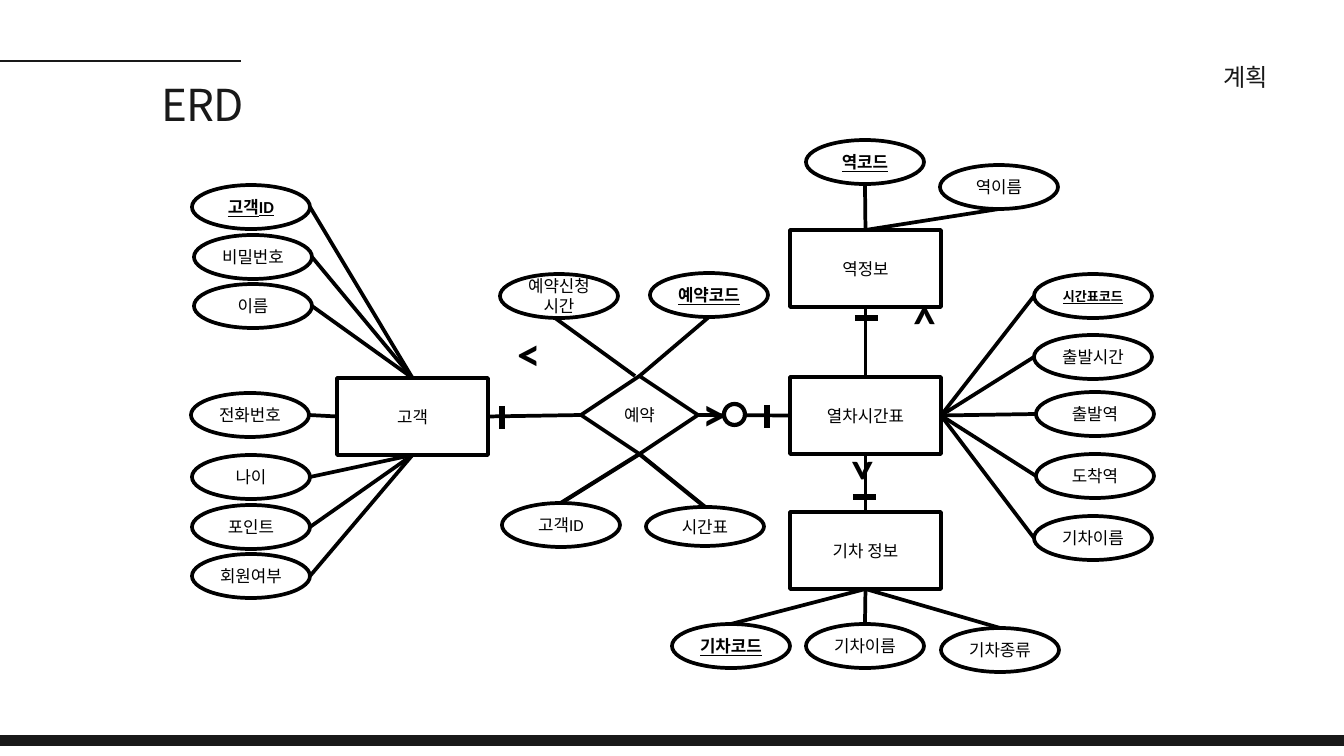
"""Builds the ERD slide of a train booking plan."""
from dataclasses import dataclass

from lxml import etree
from pptx import Presentation
from pptx.dml.color import RGBColor
from pptx.enum.shapes import MSO_CONNECTOR, MSO_SHAPE
from pptx.enum.text import MSO_ANCHOR, MSO_AUTO_SIZE, PP_ALIGN
from pptx.oxml.ns import qn
from pptx.util import Emu, Pt

RECTANGLE = MSO_SHAPE.RECTANGLE
OVAL = MSO_SHAPE.OVAL
DIAMOND = MSO_SHAPE.FLOWCHART_DECISION
STRAIGHT = MSO_CONNECTOR.STRAIGHT
LEFT_ALIGN, CENTER, RIGHT_ALIGN = PP_ALIGN.LEFT, PP_ALIGN.CENTER, PP_ALIGN.RIGHT
MIDDLE = MSO_ANCHOR.MIDDLE
GROW = MSO_AUTO_SIZE.SHAPE_TO_FIT_TEXT
TOP, LEFT, BOTTOM, RIGHT = range(4)
SCALE = 914400 / 67.2
PAGE_WIDTH, PAGE_HEIGHT = 1344, 756
ENTITY_SIZE = (151, 77)
ATTRIBUTE_SIZE = (118, 44)
MARK_SIZE = (37, 58)


@dataclass(frozen=True)
class Theme:
    """Colours, fonts and point sizes of the slide."""
    dark: RGBColor = RGBColor(0x19, 0x19, 0x19)
    ink: RGBColor = RGBColor(0, 0, 0)
    paper: RGBColor = RGBColor(255, 255, 255)
    heading_font: str = "Noto Sans CJK KR"
    body_font: str = "Calibri"
    title: float = 47.1
    section: float = 26
    label: float = 18
    small: float = 14
    mark: float = 50
    rule: float = 3
    line: float = 4
    heavy: float = 4.5
    tick: float = 6


def px(value):
    """Turns pixels into EMU."""
    return Emu(round(value * SCALE))


class ErdPage:
    """Draws diagram elements on one slide in one style."""

    def __init__(self, page, theme):
        """Keeps the slide and its theme."""
        self.page = page
        self.theme = theme

    def add_span(self, box, text, size, align, font, color, bold=False, underline=False):
        """Adds one run to a shape and returns its paragraph and run."""
        para = box.text_frame.paragraphs[0]
        para.alignment = align
        span = para.add_run()
        span.text = text
        span.font.name = font
        span.font.size = Pt(size)
        span.font.color.rgb = color
        if bold:
            span.font.bold = True
        if underline:
            span.font.underline = True
        properties = span._r.get_or_add_rPr()
        east_asian = etree.SubElement(properties, qn("a:ea"))
        east_asian.set("typeface", self.theme.heading_font)
        return para, span

    def shape(self, kind, left, top, width, height, weight, fill=None, color=None):
        """Adds an outlined shape."""
        box = self.page.shapes.add_shape(kind, px(left), px(top), px(width), px(height))
        box.shadow.inherit = False
        if fill is None:
            box.fill.background()
        else:
            box.fill.solid()
            box.fill.fore_color.rgb = fill
        box.line.color.rgb = color or self.theme.ink
        box.line.width = Pt(weight)
        return box

    def node(self, kind, text, left, top, size, key=False, points=None):
        """Adds a labelled entity, relation or attribute."""
        theme = self.theme
        box = self.shape(kind, left, top, *size, theme.line)
        box.text_frame.word_wrap = True
        box.text_frame.vertical_anchor = MIDDLE
        self.add_span(box, text, points or theme.label, CENTER, theme.body_font, theme.ink, key, key)
        return box

    def line(self, start, end, weight, color=None):
        """Adds a straight line between two points in EMU."""
        link = self.page.shapes.add_connector(STRAIGHT, *start, *end)
        link.line.color.rgb = color or self.theme.ink
        link.line.width = Pt(weight)
        etree.SubElement(link._element.spPr, qn("a:effectLst"))
        return link

    def side(self, box, index):
        """Gives the middle of one side of a shape."""
        middle_x, middle_y = box.left + box.width // 2, box.top + box.height // 2
        return (
            (middle_x, box.top),
            (box.left, middle_y),
            (middle_x, box.top + box.height),
            (box.left + box.width, middle_y),
        )[index]

    def attach(self, attribute, attribute_side, owner, owner_side, weight):
        """Ties an attribute to a side of its owner."""
        link = self.line(self.side(attribute, attribute_side), self.side(owner, owner_side), weight)
        link.end_connect(owner, owner_side)

    def relate(self, first, first_side, second, second_side):
        """Joins two nodes side to side."""
        link = self.line(self.side(first, first_side), self.side(second, second_side), self.theme.line)
        link.begin_connect(first, first_side)
        link.end_connect(second, second_side)

    def heading(self, text, left, top, width, height, size, leading, tracking=0):
        """Adds a right-aligned heading."""
        box = self.page.shapes.add_textbox(px(left), px(top), px(width), px(height))
        frame = box.text_frame
        frame.word_wrap = True
        frame.auto_size = GROW
        frame.margin_left = frame.margin_right = frame.margin_top = frame.margin_bottom = 0
        para, span = self.add_span(box, text, size, RIGHT_ALIGN, self.theme.heading_font, self.theme.dark)
        para.line_spacing = Pt(leading)
        if tracking:
            span._r.get_or_add_rPr().set("spc", str(tracking))

    def many_mark(self, left, top, rotation):
        """Adds a many mark turned to its direction."""
        theme = self.theme
        width, height = MARK_SIZE
        box = self.page.shapes.add_textbox(px(left), px(top), px(width), px(height))
        box.rotation = rotation
        box.text_frame.word_wrap = False
        box.text_frame.auto_size = GROW
        self.add_span(box, ">", theme.mark, LEFT_ALIGN, theme.body_font, theme.ink, True)


def main():
    """Builds and saves the deck."""
    theme = Theme()
    deck = Presentation()
    deck.slide_width, deck.slide_height = px(PAGE_WIDTH), px(PAGE_HEIGHT)
    erd = ErdPage(deck.slides.add_slide(deck.slide_layouts[6]), theme)

    erd.shape(RECTANGLE, -22, 736, PAGE_WIDTH + 44, 9, 1.5, theme.dark, theme.dark)
    erd.line((0, px(61)), (px(241), px(61)), theme.rule, theme.dark)
    erd.heading("계획", 983, 57, 285, 33, theme.section, 36.4)
    erd.heading("ERD", 83, 69, 161, 58, theme.title, 65.9, -70)

    booking = erd.node(DIAMOND, "예약", 581, 376, (117, 78))
    customer = erd.node(RECTANGLE, "고객", 337, 378, ENTITY_SIZE)
    station, timetable, train = [
        erd.node(RECTANGLE, name, 790, top, ENTITY_SIZE)
        for name, top in (("역정보", 230), ("열차시간표", 377), ("기차 정보", 512))
    ]
    erd.relate(customer, RIGHT, booking, LEFT)
    erd.relate(booking, RIGHT, timetable, LEFT)
    erd.relate(station, BOTTOM, timetable, TOP)
    erd.relate(train, TOP, timetable, BOTTOM)

    groups = (
        (customer, TOP, RIGHT, (("고객ID", 192, 185, True), ("비밀번호", 194, 235), ("이름", 194, 284))),
        (customer, LEFT, RIGHT, (("전화번호", 191, 393),)),
        (customer, BOTTOM, RIGHT, (("나이", 192, 455), ("포인트", 192, 505), ("회원여부", 192, 554))),
        (station, TOP, BOTTOM, (("역코드", 806, 140, True), ("역이름", 940, 165))),
        (train, BOTTOM, TOP, (("기차코드", 672, 624, True), ("기차이름", 806, 624), ("기차종류", 941, 628))),
        (timetable, RIGHT, LEFT, (
            ("시간표코드", 1034, 274, True, theme.small), ("출발시간", 1034, 335),
            ("출발역", 1036, 392), ("도착역", 1036, 454), ("기차이름", 1034, 516))),
        (booking, TOP, BOTTOM, (("예약코드", 650, 273, True),)),
    )
    for owner, owner_side, attribute_side, attributes in groups:
        for name, left, top, *style in attributes:
            attribute = erd.node(OVAL, name, left, top, ATTRIBUTE_SIZE, *style)
            erd.attach(attribute, attribute_side, owner, owner_side, theme.line)
    for name, left, top, height in (("고객ID", 502, 503, 44), ("시간표", 646, 507, 39)):
        attribute = erd.node(OVAL, name, left, top, (118, height))
        erd.attach(attribute, TOP, booking, BOTTOM, theme.heavy)
    erd.node(OVAL, "예약신청시간", 500, 274, ATTRIBUTE_SIZE)
    erd.line((px(555), px(318)), (px(635), px(376)), theme.line)

    for left, top, rotation in ((510, 333, 180), (696, 382, 0), (850, 441, 90), (900, 288, 270)):
        erd.many_mark(left, top, rotation)
    for x, y, width, height in ((502, 406, 0, 23), (767, 405, 0, 23), (855, 318, 23, 0), (853, 497, 23, 0)):
        erd.line((px(x), px(y)), (px(x + width), px(y + height)), theme.tick)
    erd.shape(OVAL, 724, 404, 21, 21, theme.heavy, theme.paper)

    deck.save("out.pptx")


if __name__ == "__main__":
    main()
